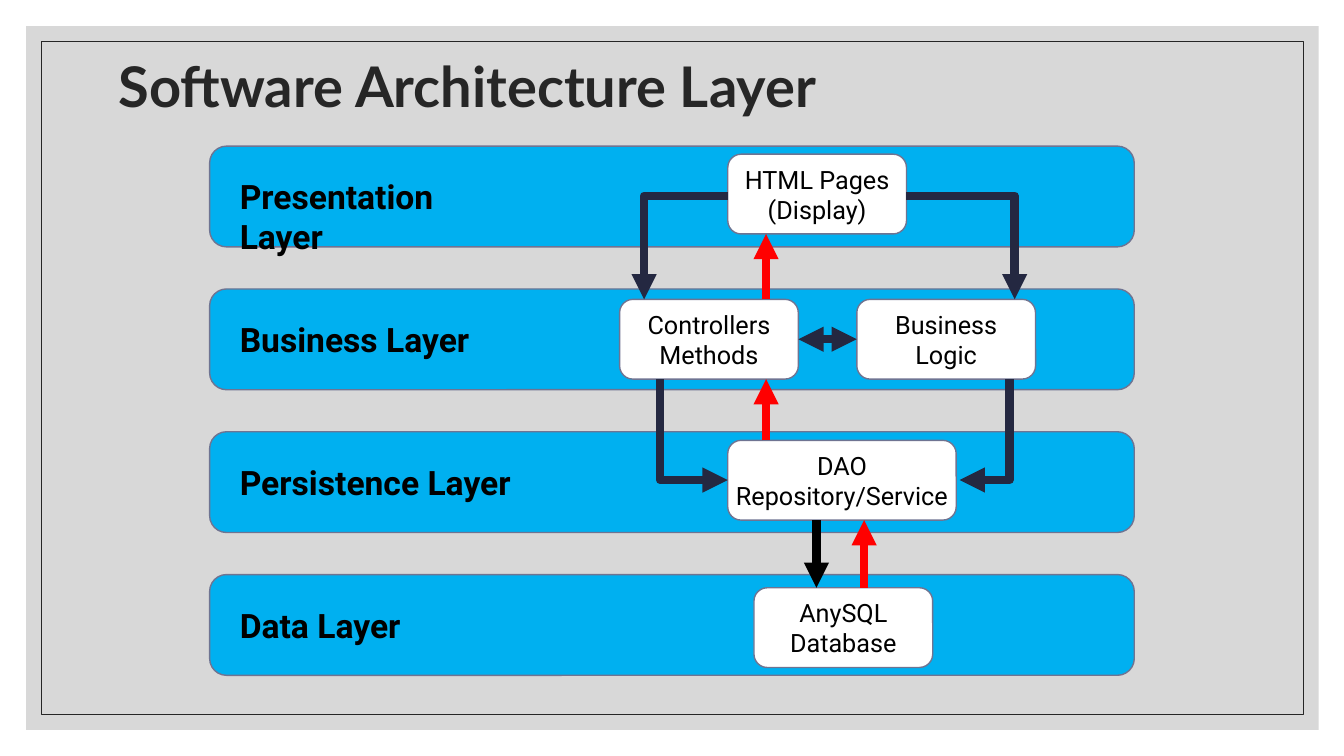
"""Build the software architecture layer slide."""
from dataclasses import dataclass

from lxml.etree import SubElement
from pptx import Presentation
from pptx.dml.color import RGBColor as Color
from pptx.enum.shapes import MSO_CONNECTOR as Link, MSO_SHAPE as Shape
from pptx.enum.text import MSO_ANCHOR as Anchor, PP_ALIGN as Align
from pptx.oxml.ns import qn
from pptx.util import Inches, Pt


@dataclass(frozen=True)
class Theme:
    ink: str = "262626"
    black: str = "000000"
    white: str = "FFFFFF"
    panel: str = "BFBFBF"
    lane: str = "00B0F0"
    edge: str = "6F7492"
    request: str = "242841"
    response: str = "FF0000"
    heading: str = "Lato"
    body: str = "Roboto"
    title_size: int = 40
    label_size: int = 24
    card_size: int = 18
    arrow_width: int = 6


theme = Theme()
deck = Presentation()
deck.slide_width, deck.slide_height = Inches(13.33), Inches(7.5)
page = deck.slides.add_slide(deck.slide_layouts[6])
column, row = deck.slide_width / 100, deck.slide_height / 100


def add_box(text, area, shape=None, fill=None, edge=None, edge_width=1, font=theme.body,
            size=theme.card_size, color=theme.black, bold=False, align=Align.LEFT,
            anchor=Anchor.TOP, inset=0.1, spacing=None):
    left, top, width, height = area
    place = [int(n) for n in (left * column, top * row, width * column, height * row)]
    if shape is None:
        box = page.shapes.add_textbox(*place)
    else:
        box = page.shapes.add_shape(shape, *place)
        box.shadow.inherit = False
        if fill:
            box.fill.solid()
            box.fill.fore_color.rgb = Color.from_string(fill)
        else:
            box.fill.background()
        if edge:
            box.line.color.rgb = Color.from_string(edge)
            box.line.width = Pt(edge_width)
        else:
            box.line.fill.background()
    if text:
        frame = box.text_frame
        frame.word_wrap = True
        frame.vertical_anchor = anchor
        frame.margin_left = frame.margin_right = Inches(inset)
        for index, words in enumerate(text.split("\n")):
            para = frame.add_paragraph() if index else frame.paragraphs[0]
            para.alignment, para.line_spacing = align, spacing
            span = para.add_run()
            span.text = words
            span.font.name, span.font.size, span.font.bold = font, Pt(size), bold
            span.font.color.rgb = Color.from_string(color)
    return box


def add_arrow(start, end, color=theme.request, bent=False, ends=("tailEnd",)):
    (x1, y1), (x2, y2) = start, end
    arrow = page.shapes.add_connector(
        Link.ELBOW if bent else Link.STRAIGHT,
        int(x1 * column), int(y1 * row), int(x2 * column), int(y2 * row))
    arrow.line.color.rgb = Color.from_string(color)
    arrow.line.width = Pt(theme.arrow_width)
    properties = arrow._element.spPr
    if bent:
        properties.find(qn("a:prstGeom")).set("prst", "bentConnector2")
    for tip in ends:
        SubElement(properties.find(qn("a:ln")), qn("a:" + tip), type="triangle")
    SubElement(properties, qn("a:effectLst"))


panel = add_box("", (1.95, 3.47, 96.17, 93.07), Shape.RECTANGLE, fill=theme.panel)
tint = panel._element.spPr.find(".//" + qn("a:srgbClr"))
SubElement(tint, qn("a:alpha"), val="60000")
add_box("", (3.07, 5.47, 93.92, 89.07), Shape.RECTANGLE, edge=theme.ink, edge_width=0.5)
add_box("Software Architecture Layer", (8.1, 1.87, 82.5, 20), font=theme.heading,
        size=theme.title_size, color=theme.ink, bold=True, anchor=Anchor.MIDDLE, spacing=0.9)

lane_top, lane_step = 19.33, 18.89
for index, name in enumerate(("Presentation", "Business", "Persistence", "Data")):
    top = lane_top + index * lane_step
    add_box("", (15.6, top, 68.8, 13.33), Shape.ROUNDED_RECTANGLE,
            fill=theme.lane, edge=theme.edge)
    add_box(name + " Layer", (17.1, top + 3.3, 21.9, 6.67), size=theme.label_size, bold=True)

card_width, card_height = 13.3, 10.55
display_top, logic_top, store_top, data_top = 20.4, 39.6, 58.25, 77.75
display_left, control_left, logic_left, data_left = 54.15, 46.1, 63.75, 56.1
store_width = 17
for text, left, top, width in (
    ("HTML Pages\n(Display)", display_left, display_top, card_width),
    ("Controllers\nMethods", control_left, logic_top, card_width),
    ("Business\nLogic", logic_left, logic_top, card_width),
    ("DAO\nRepository/Service", display_left, store_top, store_width),
    ("AnySQL\nDatabase", data_left, data_top, card_width),
):
    add_box(text, (left, top, width, card_height), Shape.ROUNDED_RECTANGLE, fill=theme.white,
            edge=theme.edge, align=Align.CENTER, anchor=Anchor.MIDDLE, inset=0.02)

display_row, store_row = 25.9, 63.5
logic_row = logic_top + card_height / 2
logic_base, store_base = logic_top + card_height, store_top + card_height
for start, end, tip in (
    ((display_left, display_row), (47.93, logic_top), "tailEnd"),
    ((display_left + card_width, display_row), (75.5, logic_top), "tailEnd"),
    ((display_left, store_row), (49.13, logic_base), "headEnd"),
    ((71.4, store_row), (75.1, logic_base), "headEnd"),
):
    add_arrow(start, end, bent=True, ends=(tip,))
add_arrow((control_left + card_width, logic_row), (logic_left, logic_row),
          ends=("headEnd", "tailEnd"))
for x, start, end, color in (
    (60.75, store_base, data_top, theme.black),
    (64.3, data_top, store_base, theme.response),
    (57, store_top, logic_base, theme.response),
    (57, logic_top, display_top + card_height, theme.response),
):
    add_arrow((x, start), (x, end), color=color)

deck.save("out.pptx")
